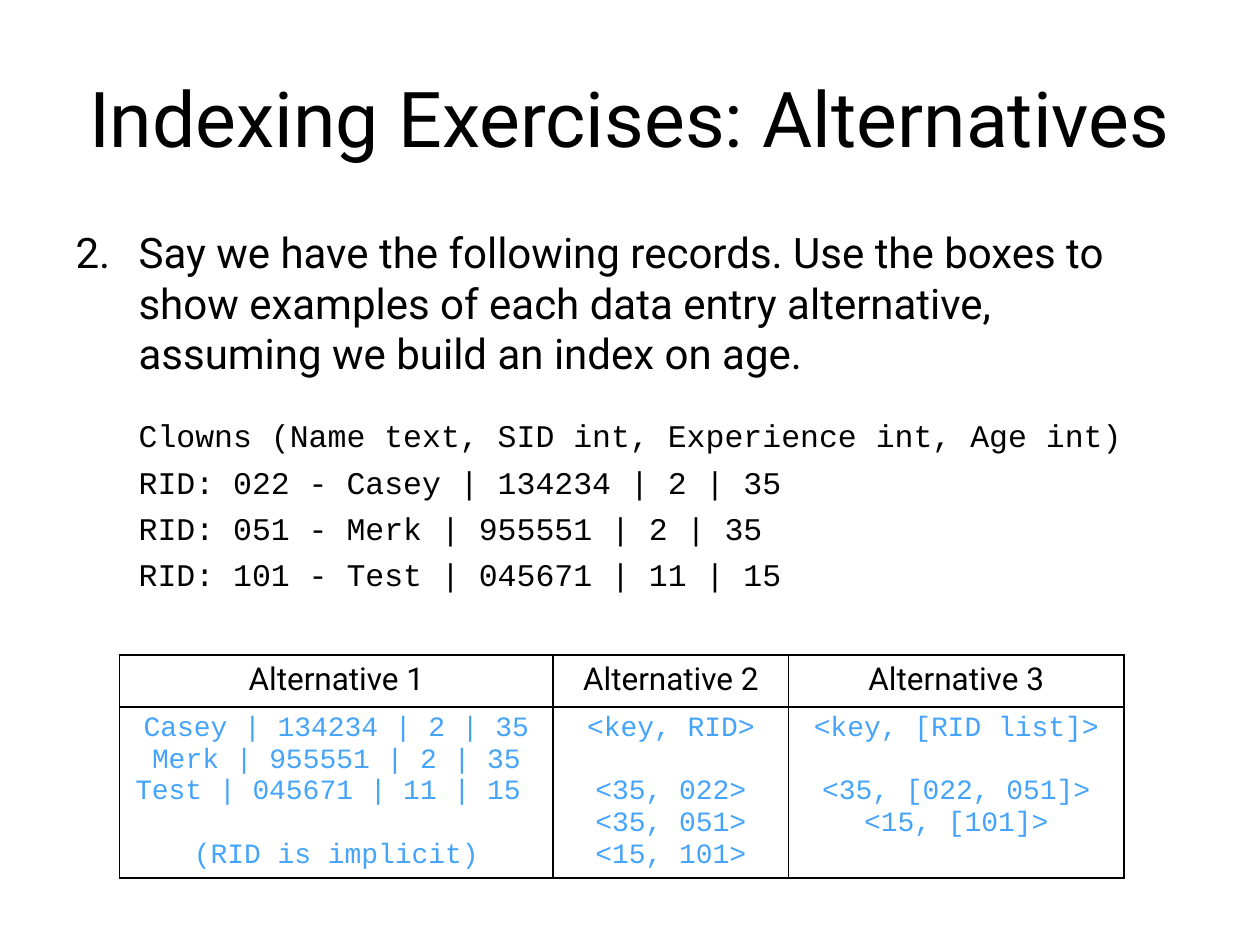
from dataclasses import dataclass

from lxml import etree
from pptx import Presentation
from pptx.dml.color import RGBColor
from pptx.enum import text
from pptx.oxml import ns
from pptx.util import Inches, Pt


@dataclass(frozen=True)
class Theme:
    sans: str = "Roboto"
    mono: str = "Courier New"
    ink: str = "000000"
    answer: str = "45A4FA"
    paper: str = "FFFFFF"
    title: int = 44
    prompt: int = 24
    record: int = 18
    entry: int = 16
    record_gap: float = 4.7
    block_gap: float = 22
    entry_gap: float = 18.1


@dataclass(frozen=True)
class Style:
    font: str
    size: int
    color: str


@dataclass(frozen=True)
class Alternative:
    name: str
    width: float
    groups: tuple[tuple[str, ...], ...]


T = Theme()
TITLE = Style(T.sans, T.title, T.ink)
PROMPT = Style(T.sans, T.prompt, T.ink)
RECORD = Style(T.mono, T.record, T.ink)
HEADING = Style(T.sans, T.record, T.ink)
ENTRY = Style(T.mono, T.entry, T.answer)

RECORDS = (
    "Clowns (Name text, SID int, Experience int, Age int)",
    "RID: 022 - Casey | 134234 | 2 | 35",
    "RID: 051 - Merk | 955551 | 2 | 35",
    "RID: 101 - Test | 045671 | 11 | 15",
)
ALTERNATIVES = (
    Alternative("Alternative 1", 3.44, (
        ("Casey | 134234 | 2 | 35 Merk | 955551 | 2 | 35 Test | 045671 | 11 | 15 ",),
        ("(RID is implicit)",),
    )),
    Alternative("Alternative 2", 1.87, (
        ("<key, RID>",),
        ("<35, 022>", "<35, 051>", "<15, 101>"),
    )),
    Alternative("Alternative 3", 2.66, (
        ("<key, [RID list]>",),
        ("<35, [022, 051]>", "<15, [101]>"),
    )),
)
ROW_HEIGHTS = (0.41, 1.36)


def place(sp, left: float, top: float, width: float, height: float) -> None:
    sp.left, sp.top = Inches(left), Inches(top)
    sp.width, sp.height = Inches(width), Inches(height)


def add_text(tf, content: str, style: Style, before: float = 0, centered: bool = False):
    p = tf.paragraphs[0] if not tf.paragraphs[0].runs else tf.add_paragraph()
    p.space_before = Pt(before)
    p.alignment = text.PP_ALIGN.CENTER if centered else text.PP_ALIGN.LEFT
    r = p.add_run()
    r.text = content
    r.font.name = style.font
    r.font.size = Pt(style.size)
    r.font.bold = False
    r.font.color.rgb = RGBColor.from_string(style.color)
    return p


def indent(p, first: float, bullet: str, **attributes: str) -> None:
    pPr = p._p.get_or_add_pPr()
    pPr.set("marL", str(Inches(0.5)))
    pPr.set("indent", str(Inches(first)))
    etree.SubElement(pPr, ns.qn(bullet), attributes)


def border(cell) -> None:
    tcPr = cell._tc.get_or_add_tcPr()
    for i, side in enumerate(("a:lnL", "a:lnR", "a:lnT", "a:lnB")):
        ln = etree.Element(ns.qn(side), w=str(Pt(1)))
        fill = etree.SubElement(ln, ns.qn("a:solidFill"))
        etree.SubElement(fill, ns.qn("a:srgbClr"), val=T.ink)
        tcPr.insert(i, ln)


def prepare(cell):
    cell.fill.solid()
    cell.fill.fore_color.rgb = RGBColor.from_string(T.paper)
    border(cell)
    return cell.text_frame


def add_alternatives(s) -> None:
    width = sum(a.width for a in ALTERNATIVES)
    frame = s.shapes.add_table(
        len(ROW_HEIGHTS), len(ALTERNATIVES), Inches(0.95), Inches(5.2),
        Inches(width), Inches(sum(ROW_HEIGHTS)))
    table = frame.table
    table.first_row = table.horz_banding = False
    for row, height in zip(table.rows, ROW_HEIGHTS):
        row.height = Inches(height)
    for i, alternative in enumerate(ALTERNATIVES):
        table.columns[i].width = Inches(alternative.width)
        add_text(prepare(table.cell(0, i)), alternative.name, HEADING, centered=True)
        tf = prepare(table.cell(1, i))
        for g, group in enumerate(alternative.groups):
            for n, line in enumerate(group):
                before = T.entry_gap if g and not n else 0
                add_text(tf, line, ENTRY, before, centered=True)


def main() -> None:
    prs = Presentation()
    prs.slide_width, prs.slide_height = Inches(10), Inches(7.5)
    s = prs.slides.add_slide(prs.slide_layouts[1])
    title, body = s.placeholders
    place(title, 0.5, 0.3, 9, 1.25)
    place(body, 0.5, 1.75, 9, 5.58)
    for sp in (title, body):
        sp.text_frame.auto_size = text.MSO_AUTO_SIZE.NONE
    title.text_frame.vertical_anchor = text.MSO_ANCHOR.MIDDLE
    add_text(title.text_frame, "Indexing Exercises: Alternatives", TITLE, centered=True)

    tf = body.text_frame
    p = add_text(tf, "Say we have the following records. Use the boxes to show examples "
                 "of each data entry alternative, assuming we build an index on age.", PROMPT)
    indent(p, -0.5, "a:buAutoNum", type="arabicPeriod", startAt="2")
    for i, record in enumerate(RECORDS):
        p = add_text(tf, record, RECORD, T.record_gap if i else T.block_gap)
        indent(p, 0, "a:buNone")
    add_alternatives(s)
    prs.save("out.pptx")


main()
